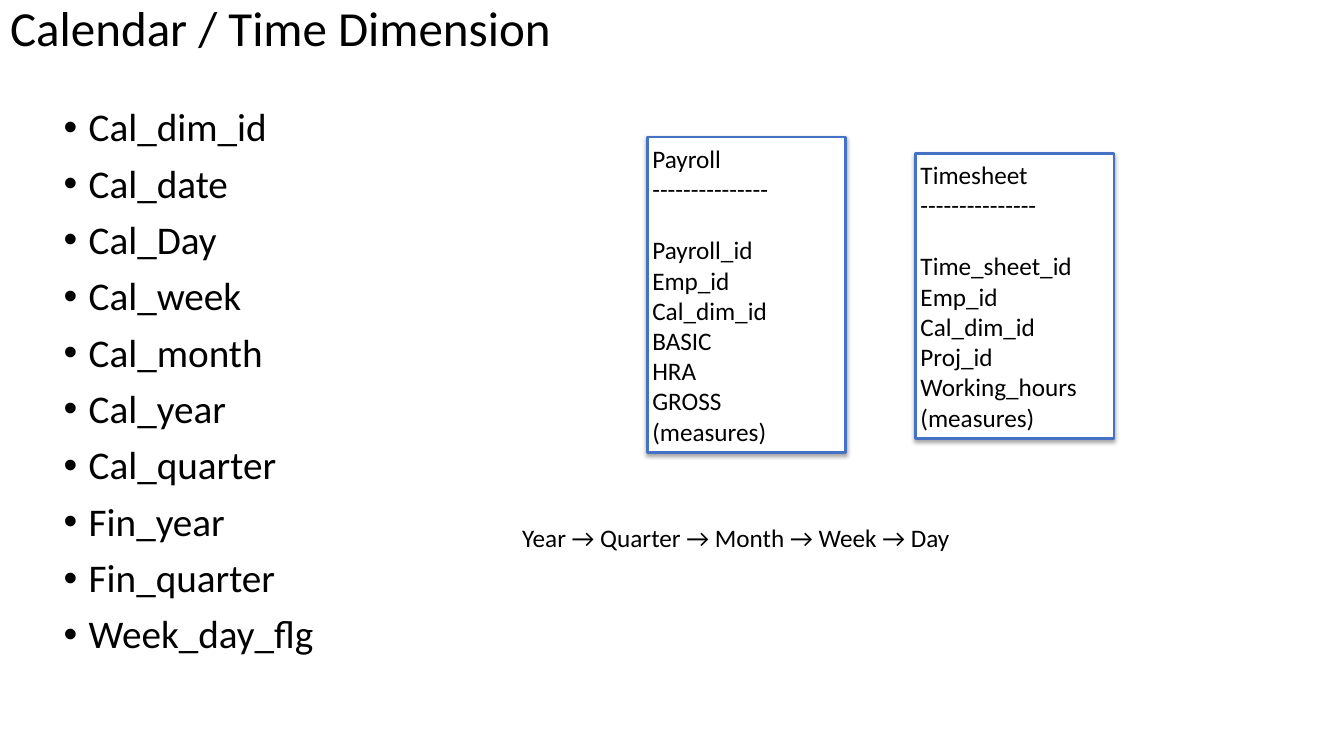
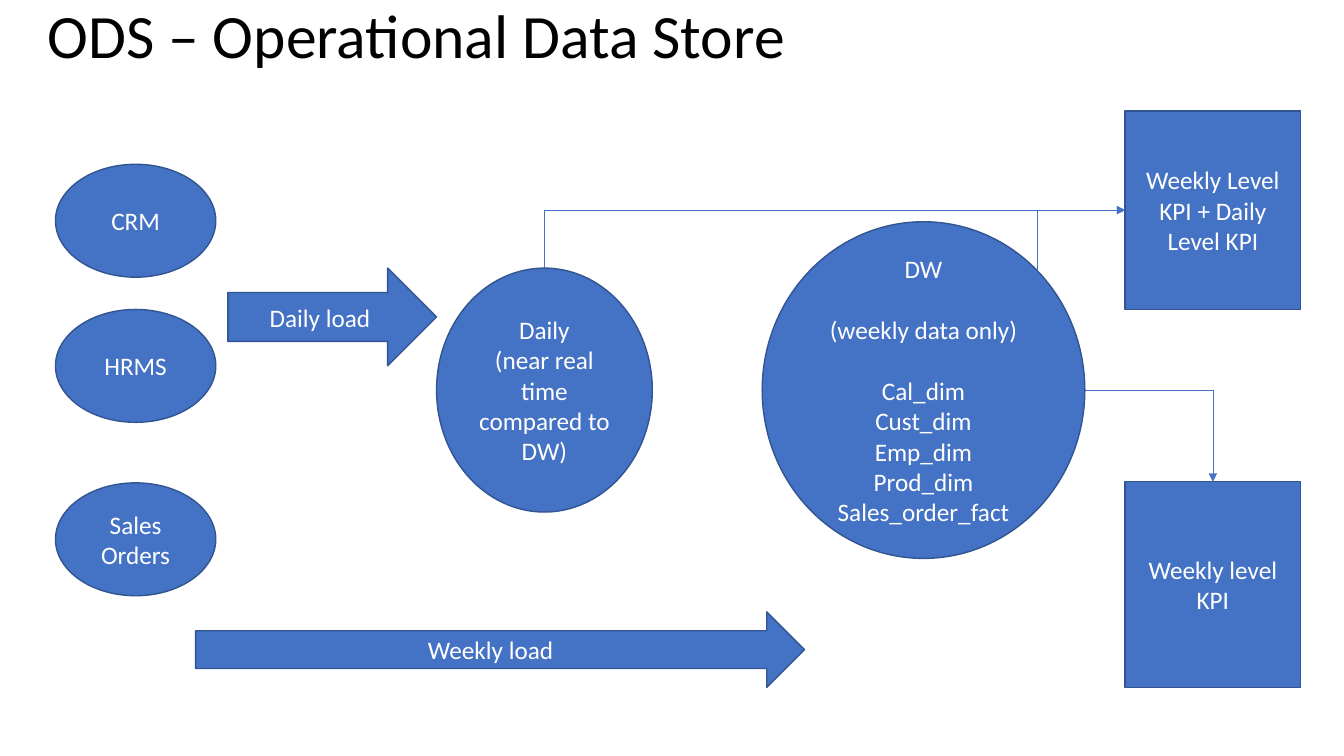
import math

import pptx
import pptx.dml.color
import pptx.enum.shapes
import pptx.enum.text
import pptx.oxml
import pptx.oxml.ns
import pptx.util
from lxml import etree

Inches, Pt = pptx.util.Inches, pptx.util.Pt
qn = pptx.oxml.ns.qn
KIND = pptx.enum.shapes.MSO_SHAPE
ALIGN = pptx.enum.text.PP_ALIGN
ANCHOR = pptx.enum.text.MSO_ANCHOR

# Shared look
FONT, TEXT_SIZE, BLANK_LINE = "Calibri", 18, 22
BLACK, WHITE, BLUE, DARK_BLUE = "000000", "FFFFFF", "4472C4", "325491"
SHADOW = (
    '<a:effectLst xmlns:a="http://schemas.openxmlformats.org/drawingml/2006/main">'
    '<a:outerShdw blurRad="38100" dist="22860" dir="5400000" rotWithShape="0">'
    '<a:srgbClr val="000000"><a:alpha val="35000"/></a:srgbClr>'
    "</a:outerShdw></a:effectLst>"
)

# Content: calendar slide
CALENDAR_TITLE = ("Calendar / Time Dimension", 35, (0, -0.01, 13.33, 0.93))
CALENDAR_COLUMNS = [
    "Cal_dim_id", "Cal_date", "Cal_Day", "Cal_week", "Cal_month",
    "Cal_year", "Cal_quarter", "Fin_year", "Fin_quarter", "Week_day_flg",
]
COLUMNS_BOX = (0.53, 1.02, 3.02, 5.63)
RULE = "---------------"
# Each text is a list of groups; a gap of one line separates groups.
FACT_TABLES = [
    ((9.08, 1.52, 1.97, 2.83),
     [["Timesheet", RULE],
      ["Time_sheet_id", "Emp_id", "Cal_dim_id", "Proj_id", "Working_hours (measures)"]]),
    ((6.42, 1.36, 1.97, 3.13),
     [["Payroll", RULE],
      ["Payroll_id", "Emp_id", "Cal_dim_id", "BASIC", "HRA", "GROSS", "(measures)"]]),
]
HIERARCHY = ["Year", "Quarter", "Month", "Week", "Day"]
HIERARCHY_BOX = (5.13, 5.13, 4.53, 0.4)

# Content: data store slide
STORE_TITLE = ("ODS – Operational Data Store", 44, (0.37, 0, 12.36, 0.89))
SOURCES = [("HRMS", 3.07), ("CRM", 1.63), ("Sales Orders", 4.79)]
SOURCE_LEFT, SOURCE_SIZE = 0.55, (1.59, 1.12)
NODES = {
    "warehouse": (KIND.OVAL, (7.56, 2.2, 3.2, 3.34), [
        ["DW"], ["(weekly data only)"],
        ["Cal_dim", "Cust_dim", "Emp_dim", "Prod_dim", "Sales_order_fact"]]),
    "weekly load": (KIND.RIGHT_ARROW, (1.94, 6.07, 6.04, 0.75), [["Weekly load"]]),
    "daily store": (KIND.OVAL, (4.33, 2.66, 2.14, 2.42),
                    [["Daily", "(near real time compared to DW)"]]),
    "daily load": (KIND.RIGHT_ARROW, (2.26, 2.66, 2.07, 0.97), [["Daily load"]]),
    "weekly KPI": (KIND.RECTANGLE, (11.16, 4.78, 1.74, 2.04), [["Weekly level KPI"]]),
    "mixed KPI": (KIND.RECTANGLE, (11.16, 1.1, 1.74, 1.97),
                  [["Weekly Level KPI + Daily Level KPI"]]),
}
# Connection sites: index and place as shares of the shape's box
DIAGONAL = math.sqrt(0.5) / 2
TOP, LEFT = (0, 0.5, 0), (1, 0, 0.5)
OVAL_RIGHT, OVAL_TOP_RIGHT = (6, 1, 0.5), (7, 0.5 + DIAGONAL, 0.5 - DIAGONAL)
FLOWS = [
    ("warehouse", OVAL_RIGHT, "weekly KPI", TOP),
    ("warehouse", OVAL_TOP_RIGHT, "mixed KPI", LEFT),
    ("daily store", TOP, "mixed KPI", LEFT),
]


def color(value):
    return pptx.dml.color.RGBColor.from_string(value)


def add_run(paragraph, text, size, ink):
    run = paragraph.add_run()
    run.text = text
    run.font.name, run.font.size = FONT, Pt(size)
    run.font.color.rgb = color(ink)


def place(shape, box):
    shape.left, shape.top, shape.width, shape.height = map(Inches, box)


def paragraphs(frame, count):
    return [frame.paragraphs[0]] + [frame.add_paragraph() for _ in range(count - 1)]


def write_groups(frame, groups, ink, align):
    lines = [(line, g > 0 and i == 0)
             for g, group in enumerate(groups) for i, line in enumerate(group)]
    for paragraph, (line, gap) in zip(paragraphs(frame, len(lines)), lines):
        paragraph.alignment = align
        if gap:
            paragraph.space_before = Pt(BLANK_LINE)
        add_run(paragraph, line, TEXT_SIZE, ink)


def set_insets(frame, inset):
    frame.margin_left = frame.margin_right = Inches(inset)
    frame.margin_top = frame.margin_bottom = Inches(inset)


def add_titled_slide(deck, layout, title):
    text, size, box = title
    slide = deck.slides.add_slide(deck.slide_layouts[layout])
    place(slide.shapes.title, box)
    frame = slide.shapes.title.text_frame
    frame.auto_size = pptx.enum.text.MSO_AUTO_SIZE.NONE
    frame.vertical_anchor = ANCHOR.TOP
    heading = frame.paragraphs[0]
    heading.alignment, heading.line_spacing = ALIGN.LEFT, 0.9
    add_run(heading, text, size, BLACK)
    return slide


def add_block(slide, kind, box, groups, fill, line, width, ink, align):
    block = slide.shapes.add_shape(kind, *map(Inches, box))
    block.shadow.inherit = False
    block.fill.solid()
    block.fill.fore_color.rgb = color(fill)
    block.line.color.rgb = color(line)
    block.line.width = Pt(width)
    block.text_frame.word_wrap = True
    block.text_frame.vertical_anchor = ANCHOR.MIDDLE
    write_groups(block.text_frame, groups, ink, align)
    return block


def add_node(slide, kind, box, groups):
    return add_block(slide, kind, box, groups, BLUE, DARK_BLUE, 1, WHITE, ALIGN.CENTER)


def add_fact_table(slide, box, groups):
    table = add_block(slide, KIND.RECTANGLE, box, groups, WHITE, BLUE, 2, BLACK, ALIGN.LEFT)
    set_insets(table.text_frame, 0.05)
    properties = table.element.spPr
    properties.replace(properties.find(qn("a:effectLst")), pptx.oxml.parse_xml(SHADOW))


def add_flow(slide, start, start_site, end, end_site):
    """Draw a one-bend arrow; it leaves sideways for a top site, else upwards."""
    (x1, y1), (x2, y2) = [
        (shape.left + round(shape.width * fx), shape.top + round(shape.height * fy))
        for shape, (_, fx, fy) in ((start, start_site), (end, end_site))
    ]
    flow = slide.shapes.add_connector(
        pptx.enum.shapes.MSO_CONNECTOR.ELBOW, x1, y1, x2, y2)
    flow.line.color.rgb = color(BLUE)
    flow.line.width = Pt(0.5)
    properties = flow.element.spPr
    properties.find(qn("a:prstGeom")).set("prst", "bentConnector2")
    if end_site == LEFT:
        across, rise = x2 - x1, y1 - y2
        flow.left, flow.top = (x1 + x2 - rise) // 2, (y1 + y2 - across) // 2
        flow.width, flow.height = rise, across
        transform = properties.find(qn("a:xfrm"))
        for key, value in (("rot", "5400000"), ("flipH", "1"), ("flipV", "1")):
            transform.set(key, value)
    etree.SubElement(properties.find(qn("a:ln")), qn("a:tailEnd"), type="triangle")
    etree.SubElement(properties, qn("a:effectLst"))
    links = flow.element.find(".//" + qn("p:cNvCxnSpPr"))
    for tag, shape, site in (("a:stCxn", start, start_site), ("a:endCxn", end, end_site)):
        etree.SubElement(links, qn(tag), id=str(shape.shape_id), idx=str(site[0]))


def build_calendar(deck):
    slide = add_titled_slide(deck, 1, CALENDAR_TITLE)

    # Column list
    columns = slide.placeholders[1]
    place(columns, COLUMNS_BOX)
    frame = columns.text_frame
    frame.auto_size = pptx.enum.text.MSO_AUTO_SIZE.NONE
    rows = paragraphs(frame, len(CALENDAR_COLUMNS))
    for i, (row, name) in enumerate(zip(rows, CALENDAR_COLUMNS)):
        indent = row._p.get_or_add_pPr()
        indent.set("marL", str(Inches(0.25)))
        indent.set("indent", str(-Inches(0.25)))
        etree.SubElement(indent, qn("a:buChar"), char="•")
        row.line_spacing = 0.9
        row.space_before = Pt(10 if i else 0)
        add_run(row, name, 28, BLACK)

    # Fact tables and date hierarchy
    for box, groups in FACT_TABLES:
        add_fact_table(slide, box, groups)
    hierarchy = slide.shapes.add_textbox(*map(Inches, HIERARCHY_BOX)).text_frame
    hierarchy.word_wrap = True
    set_insets(hierarchy, 0.05)
    write_groups(hierarchy, [[" → ".join(HIERARCHY)]], BLACK, ALIGN.LEFT)


def build_data_store(deck):
    slide = add_titled_slide(deck, 5, STORE_TITLE)
    for name, top in SOURCES:
        add_node(slide, KIND.OVAL, (SOURCE_LEFT, top, *SOURCE_SIZE), [[name]])
    nodes = {name: add_node(slide, *node) for name, node in NODES.items()}
    for start, start_site, end, end_site in FLOWS:
        add_flow(slide, nodes[start], start_site, nodes[end], end_site)


def main():
    deck = pptx.Presentation()
    deck.slide_width, deck.slide_height = Inches(13.33), Inches(7.5)
    build_calendar(deck)
    build_data_store(deck)
    deck.save("out.pptx")


if __name__ == "__main__":
    main()
